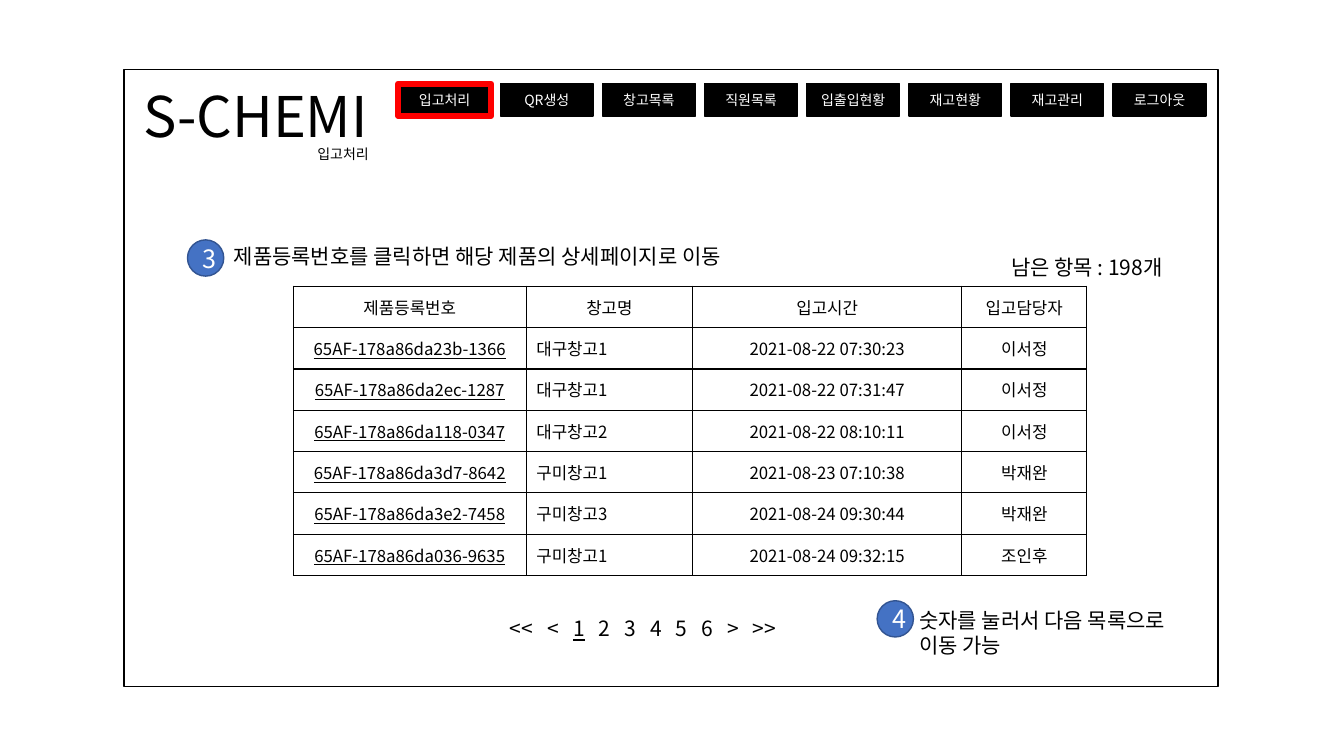
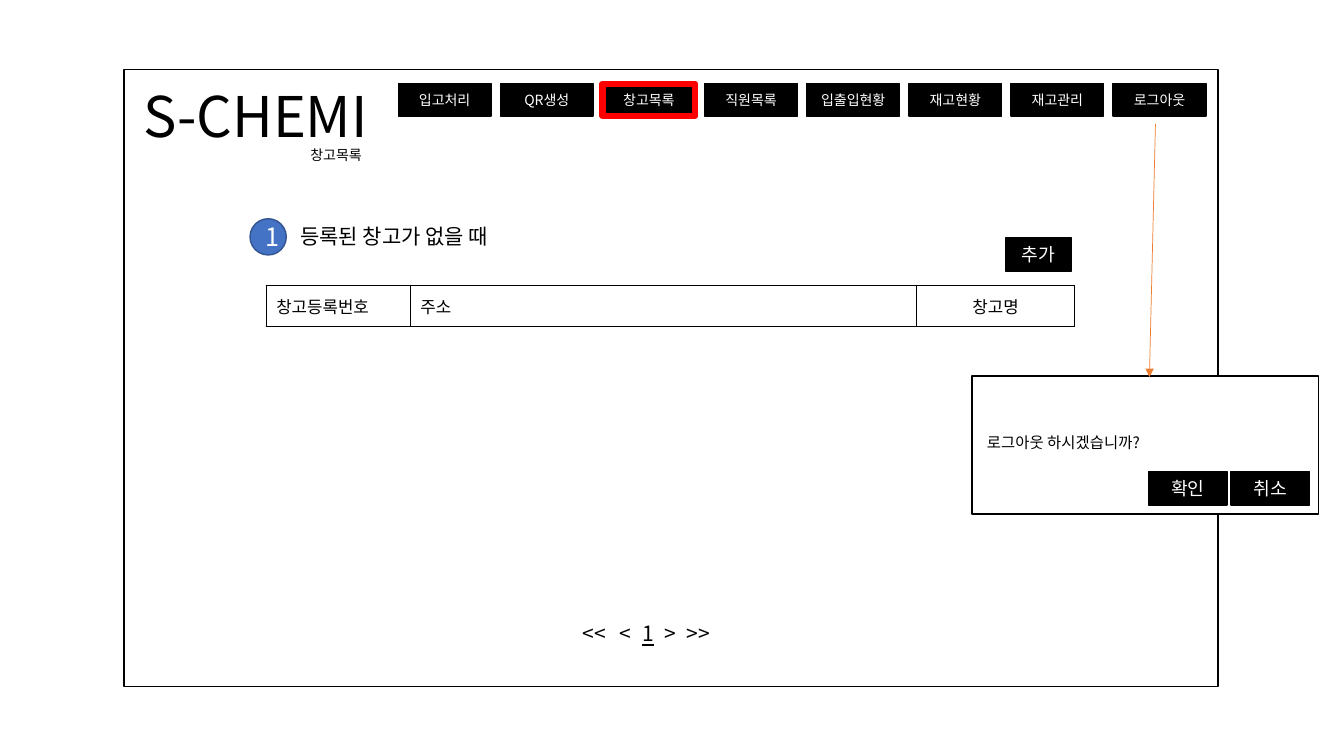
"""Build two wireframe screens of a warehouse management site."""
from lxml import etree
from pptx import Presentation
from pptx.dml.color import RGBColor
from pptx.enum import shapes, text
from pptx.oxml import ns
from pptx.util import Inches, Pt

COLORS = {"black": "000000", "white": "FFFFFF", "red": "FF0000",
          "badge": "4472C4", "badge_line": "325491", "arrow": "ED7D31"}
FONT = "Noto Sans CJK KR"
LEFT, CENTER = text.PP_ALIGN.LEFT, text.PP_ALIGN.CENTER
RECT, OVAL = shapes.MSO_SHAPE.RECTANGLE, shapes.MSO_SHAPE.OVAL
MENU = ["입고처리", "QR생성", "창고목록", "직원목록",
        "입출입현황", "재고현황", "재고관리", "로그아웃"]


def style_paragraph(paragraph, size, color="black", align=LEFT):
    paragraph.alignment = align
    for run in paragraph.runs:
        run.font.size = Pt(size)
        run.font.color.rgb = RGBColor.from_string(COLORS[color])
        run.font.name = FONT
        etree.SubElement(run.font._element, ns.qn("a:ea"), typeface=FONT)


def add_box(slide, at, label="", size=10, kind=None, fill=None, line="black", width=1):
    place = [Inches(length) for length in at]
    if kind is None:
        shape = slide.shapes.add_textbox(*place)
    else:
        shape = slide.shapes.add_shape(kind, *place)
        shape.shadow.inherit = False
        shape.line.color.rgb = RGBColor.from_string(COLORS[line])
        shape.line.width = Pt(width)
        if fill:
            shape.fill.solid()
            shape.fill.fore_color.rgb = RGBColor.from_string(COLORS[fill])
        else:
            shape.fill.background()
    frame = shape.text_frame
    frame.word_wrap = True
    if label:
        frame.text = label
    for paragraph in frame.paragraphs:
        if kind is None:
            style_paragraph(paragraph, size)
        else:
            style_paragraph(paragraph, size, "white", CENTER)
    return shape


screens = [
    {
        "name": "입고처리", "name_at": (3.05, 1.39, 0.84, 0.27),
        "badges": [("3", 1.86, 2.38), ("4", 8.7, 5.96)],
        "notes": [
            ("제품등록번호를 클릭하면 해당 제품의 상세페이지로 이동", (2.22, 2.37, 5.68, 0.35)),
            ("남은 항목 : 198개", (9.93, 2.48, 2.03, 0.35)),
            ("숫자를 눌러서 다음 목록으로\n이동 가능", (9.02, 5.98, 3.02, 0.61)),
        ],
        "pages": "<< < 1 2 3 4 5 6 > >>", "pages_at": (4.96, 6.06, 3.77, 0.35),
        "page_step": 0.255,
        "table_at": (2.91, 2.84), "columns": [2.31, 1.65, 2.67, 1.24],
        "header_centered": [0, 1, 2, 3], "body_centered": [0, 2, 3],
        "rows": [
            ("제품등록번호", "창고명", "입고시간", "입고담당자"),
            ("65AF-178a86da23b-1366", "대구창고1", "2021-08-22 07:30:23", "이서정"),
            ("65AF-178a86da2ec-1287", "대구창고1", "2021-08-22 07:31:47", "이서정"),
            ("65AF-178a86da118-0347", "대구창고2", "2021-08-22 08:10:11", "이서정"),
            ("65AF-178a86da3d7-8642", "구미창고1", "2021-08-23 07:10:38", "박재완"),
            ("65AF-178a86da3e2-7458", "구미창고3", "2021-08-24 09:30:44", "박재완"),
            ("65AF-178a86da036-9635", "구미창고1", "2021-08-24 09:32:15", "조인후"),
        ],
    },
    {
        "name": "창고목록", "name_at": (2.98, 1.4, 0.84, 0.27),
        "badges": [("1", 2.48, 2.17)],
        "notes": [("등록된 창고가 없을 때", (2.88, 2.17, 2.32, 0.35))],
        "pages": "<< < 1 > >>", "pages_at": (5.68, 6.11, 1.94, 0.35),
        "page_step": 0.22,
        "table_at": (2.64, 2.83), "columns": [1.43, 5.02, 1.57],
        "header_centered": [2], "body_centered": [],
        "rows": [("창고등록번호", "주소", "창고명")],
    },
]

presentation = Presentation()
presentation.slide_width = Inches(13.33)
presentation.slide_height = Inches(7.5)

for screen in screens:
    slide = presentation.slides.add_slide(presentation.slide_layouts[6])
    add_box(slide, (1.23, 0.69, 10.85, 6.12), kind=RECT)
    add_box(slide, (1.32, 0.76, 2.62, 0.77), "S-CHEMI", 40)
    add_box(slide, screen["name_at"], screen["name"])

    for index, item in enumerate(MENU):
        active = item == screen["name"]
        add_box(slide, (3.95 + index * 7.09 / 7, 0.83, 0.92, 0.32), item, 10, RECT, "black",
                "red" if active else "black", 4.5 if active else 1)

    for number, left, top in screen["badges"]:
        add_box(slide, (left, top, 0.36, 0.36), number, 18, OVAL, "badge", "badge_line")
    for note, at in screen["notes"]:
        add_box(slide, at, note, 15)

    pager = add_box(slide, screen["pages_at"])
    paragraph = pager.text_frame.paragraphs[0]
    pages = screen["pages"].split()
    tabs = etree.SubElement(paragraph._p.get_or_add_pPr(), ns.qn("a:tabLst"))
    for index, page in enumerate(pages):
        if index:
            position = Inches(0.37 + (index - 1) * screen["page_step"])
            etree.SubElement(tabs, ns.qn("a:tab"), pos=str(position), algn="l")
            paragraph.add_run().text = "\t"
        run = paragraph.add_run()
        run.text = page
        run.font.underline = page == "1"
    style_paragraph(paragraph, 15)

    rows, columns = screen["rows"], screen["columns"]
    left, top = screen["table_at"]
    table = slide.shapes.add_table(len(rows), len(columns), Inches(left), Inches(top),
                                   Inches(sum(columns)), Inches(0.41 * len(rows))).table
    table.first_row = table.horz_banding = False
    for column, width in zip(table.columns, columns):
        column.width = Inches(width)
    for row_index, values in enumerate(rows):
        table.rows[row_index].height = Inches(0.41)
        centered = screen["body_centered" if row_index else "header_centered"]
        for column_index, value in enumerate(values):
            cell = table.cell(row_index, column_index)
            cell.text = value
            cell.vertical_anchor = text.MSO_ANCHOR.MIDDLE
            paragraph = cell.text_frame.paragraphs[0]
            style_paragraph(paragraph, 12, align=CENTER if column_index in centered else LEFT)
            if row_index and column_index == 0:
                paragraph.runs[0].font.underline = True
            properties = cell._tc.get_or_add_tcPr()
            for side in ("lnL", "lnR", "lnT", "lnB"):
                border = etree.SubElement(properties, ns.qn(f"a:{side}"), w=str(Pt(1)))
                border_fill = etree.SubElement(border, ns.qn("a:solidFill"))
                etree.SubElement(border_fill, ns.qn("a:srgbClr"), val=COLORS["black"])
            cell.fill.background()

add_box(slide, (9.64, 3.73, 3.44, 1.37), kind=RECT, fill="white")
add_box(slide, (9.69, 4.25, 1.95, 0.29), "로그아웃 하시겠습니까?", 11)
for label, at in [("추가", (9.97, 2.36, 0.66, 0.33)),
                  ("확인", (11.39, 4.68, 0.78, 0.33)),
                  ("취소", (12.21, 4.68, 0.78, 0.33))]:
    add_box(slide, at, label, 13, RECT, "black")

arrow = slide.shapes.add_connector(shapes.MSO_CONNECTOR.STRAIGHT, Inches(11.46), Inches(1.23),
                                   Inches(11.4), Inches(3.74))
arrow.line.color.rgb = RGBColor.from_string(COLORS["arrow"])
arrow.line.width = Pt(0.5)
etree.SubElement(arrow.line._get_or_add_ln(), ns.qn("a:tailEnd"), type="triangle")
etree.SubElement(arrow._element.spPr, ns.qn("a:effectLst"))

presentation.save("out.pptx")
